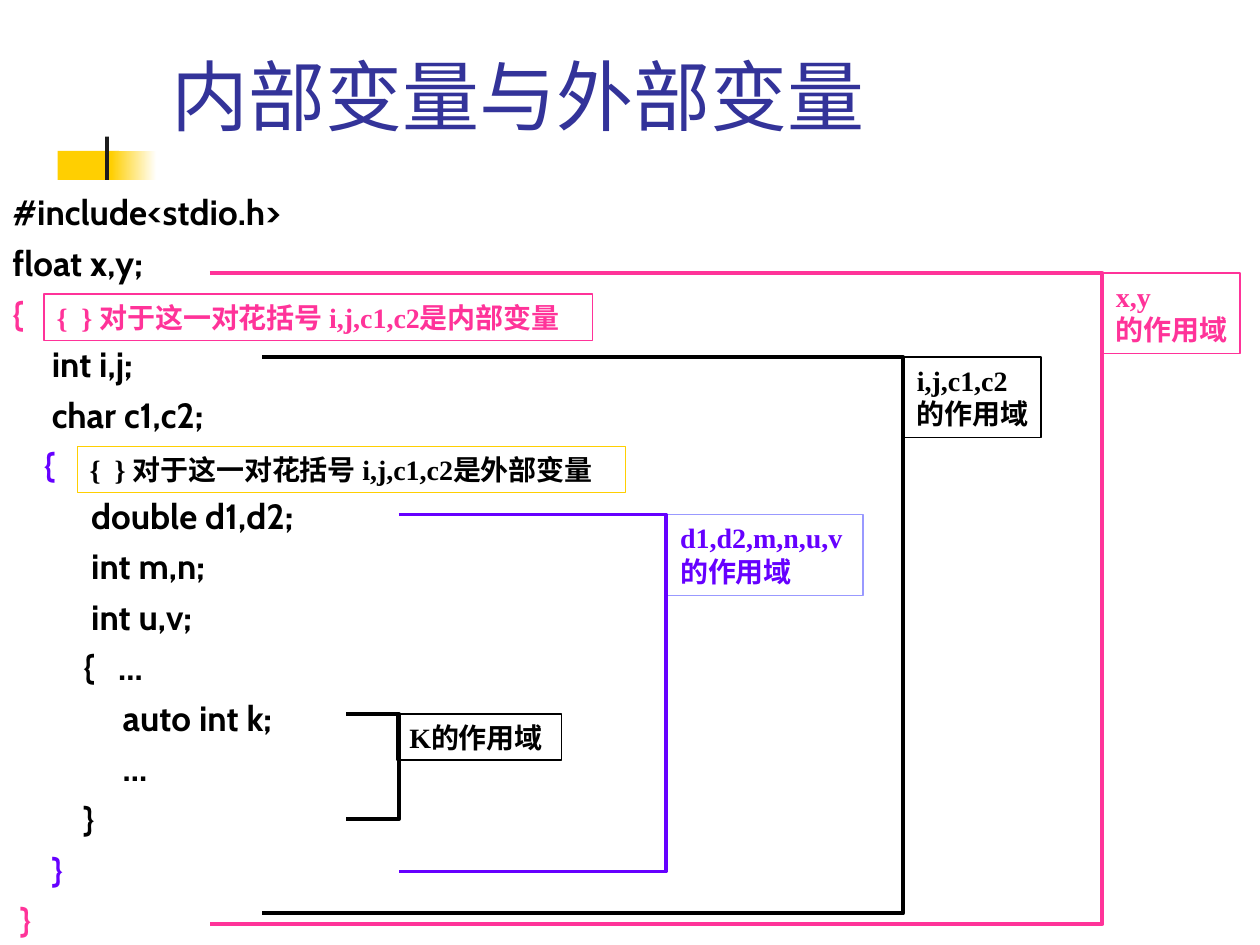
from dataclasses import dataclass

from pptx import Presentation
from pptx.dml.color import RGBColor
from pptx.enum.shapes import MSO_SHAPE
from pptx.enum.text import MSO_ANCHOR, MSO_AUTO_SIZE, PP_ALIGN
from pptx.util import Inches, Pt


@dataclass(frozen=True)
class Theme:
    title: str = "333399"
    ink: str = "000000"
    bar: str = "1C1C1C"
    paper: str = "FFFFFF"
    gold: str = "FFCF01"
    pink: str = "FF3399"
    violet: str = "6600FF"
    lilac: str = "9999FF"
    code_font: str = "Cabin"
    label_font: str = "Times New Roman"
    title_size: float = 44
    code_size: float = 20
    label_size: float = 16
    border: float = 0.75
    bracket: float = 2.25


THEME = Theme()
WIDTH, HEIGHT = Inches(10), Inches(7.5)
COLUMNS, ROWS = 120, 90
ONE_LINE, TWO_LINES = 4.4, 7.7  # label heights in rows

CODE = [
    ("#include<stdio.h>", THEME.ink),
    ("float x,y;", THEME.ink),
    ("{", THEME.pink),
    ("     int i,j;", THEME.ink),
    ("     char c1,c2;", THEME.ink),
    ("    {", THEME.violet),
    ("          double d1,d2;", THEME.ink),
    ("          int m,n;", THEME.ink),
    ("          int u,v;", THEME.ink),
    ("         {   …", THEME.ink),
    ("              auto int k;", THEME.ink),
    ("              …", THEME.ink),
    ("         }", THEME.ink),
    ("     }", THEME.violet),
    (" }", THEME.pink),
]

# bracket box, label offset and width, label lines, text colour, border colour
SCOPES = [
    ((33, 68, 5, 10), -0.2, 15.7, ["K的作用域"], THEME.ink, THEME.ink),
    ((38, 49, 25.4, 34), 0.2, 18.6, ["d1,d2,m,n,u,v", "的作用域"],
     THEME.violet, THEME.lilac),
    ((20, 26, 85, 62), 0.1, 13, ["x,y", "的作用域"], THEME.pink, THEME.pink),
    ((25, 34, 61, 53), 0.15, 13, ["i,j,c1,c2", "的作用域"], THEME.ink, THEME.ink),
]

NOTES = [
    ((4.2, 28, 52.2, ONE_LINE), "{  } 对于这一对花括号 i,j,c1,c2是内部变量",
     THEME.pink, THEME.pink),
    ((7.35, 42.5, 52.2, ONE_LINE), "{  } 对于这一对花括号 i,j,c1,c2是外部变量",
     THEME.ink, THEME.gold),
]


def rgb(colour):
    return RGBColor.from_string(colour)


def place(box):
    """Turn columns and rows into slide lengths."""
    left, top, width, height = box
    return (round(left * WIDTH / COLUMNS), round(top * HEIGHT / ROWS),
            round(width * WIDTH / COLUMNS), round(height * HEIGHT / ROWS))


def add_lines(frame, lines, font, size, bold):
    """Write (text, colour) pairs, one paragraph each."""
    for index, (text, colour) in enumerate(lines):
        line = frame.paragraphs[0] if index == 0 else frame.add_paragraph()
        line.text = text
        line.alignment = PP_ALIGN.LEFT
        line.font.name = font
        line.font.size = Pt(size)
        line.font.bold = bold
        line.font.color.rgb = rgb(colour)


def add_framed_box(shapes, box, border):
    panel = shapes.add_textbox(*place(box))
    panel.fill.solid()
    panel.fill.fore_color.rgb = rgb(THEME.paper)
    panel.line.color.rgb = rgb(border)
    panel.line.width = Pt(THEME.border)
    return panel.text_frame


def add_ornament(shapes, box):
    left, top, width, height = box
    strips = [
        ((0, 0.1, 0.62, 0.46), THEME.gold, None),
        ((0.54, 0.1, 0.46, 0.46), THEME.gold, THEME.paper),
        ((0.48, 0, 0.04, 1), THEME.bar, None),
    ]
    for (x, y, w, h), colour, fade in strips:
        strip = shapes.add_shape(MSO_SHAPE.RECTANGLE, *place(
            (left + x * width, top + y * height, w * width, h * height)))
        strip.shadow.inherit = False
        strip.line.fill.background()
        if fade:
            strip.fill.gradient()
            strip.fill.gradient_angle = 0
            for stop, shade in zip(strip.fill.gradient_stops, (colour, fade)):
                stop.color.rgb = rgb(shade)
        else:
            strip.fill.solid()
            strip.fill.fore_color.rgb = rgb(colour)


def add_title(shapes, box):
    frame = shapes.add_textbox(*place(box)).text_frame
    frame.word_wrap = True
    frame.vertical_anchor = MSO_ANCHOR.BOTTOM
    add_lines(frame, [("内部变量与外部变量", THEME.title)],
              THEME.code_font, THEME.title_size, False)


def add_code(shapes, box):
    frame = add_framed_box(shapes, box, THEME.paper)
    frame.word_wrap = True
    add_lines(frame, CODE, THEME.code_font, THEME.code_size, True)
    for index, line in enumerate(frame.paragraphs):
        line.line_spacing = 1.1
        line.space_before = Pt(2.5 if index else 0)


def add_label(shapes, box, lines, colour, border):
    frame = add_framed_box(shapes, box, border)
    frame.word_wrap = False
    frame.auto_size = MSO_AUTO_SIZE.SHAPE_TO_FIT_TEXT
    add_lines(frame, [(text, colour) for text in lines],
              THEME.label_font, THEME.label_size, True)
    return frame


def add_scope(shapes, box, offset, label_width, lines, colour, border):
    """Group a bracket that opens to the left with the label at its top right."""
    scope = shapes.add_group_shape().shapes
    left, top, width, height = box
    label_height = TWO_LINES if len(lines) > 1 else ONE_LINE
    label = add_label(
        scope, (left + width + offset, top, label_width, label_height),
        lines, colour, border)
    label.margin_right = 0  # room to keep each line whole

    x, y, w, h = place(box)
    outline = scope.build_freeform(x, y)
    outline.add_line_segments([(x + w, y), (x + w, y + h), (x, y + h)], close=False)
    bracket = outline.convert_to_shape()
    bracket.shadow.inherit = False
    bracket.fill.background()
    bracket.line.color.rgb = rgb(colour)
    bracket.line.width = Pt(THEME.bracket)


def main():
    deck = Presentation()
    deck.slide_width, deck.slide_height = WIDTH, HEIGHT
    shapes = deck.slides.add_slide(deck.slide_layouts[6]).shapes

    # Heading
    add_ornament(shapes, (5.5, 13, 9.4, 13.8))
    add_title(shapes, (15.15, 2.9, 102.2, 11.1))

    # Program with the scope of each variable
    add_code(shapes, (0, 17.2, COLUMNS, 73))
    for scope in SCOPES:
        add_scope(shapes, *scope)

    # Notes beside the opening braces
    for box, text, colour, border in NOTES:
        add_label(shapes, box, [text], colour, border)

    deck.save("out.pptx")


if __name__ == "__main__":
    main()
